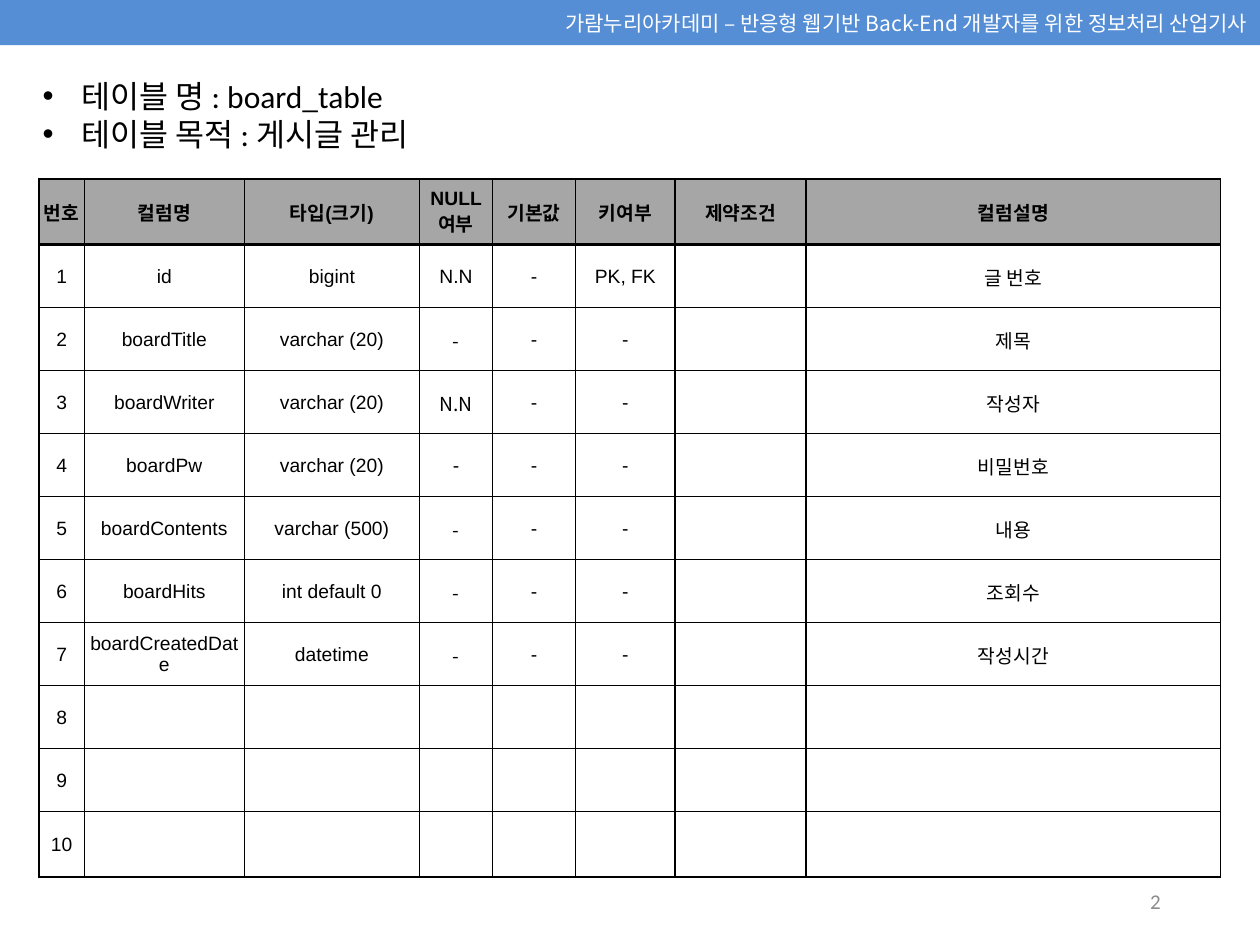
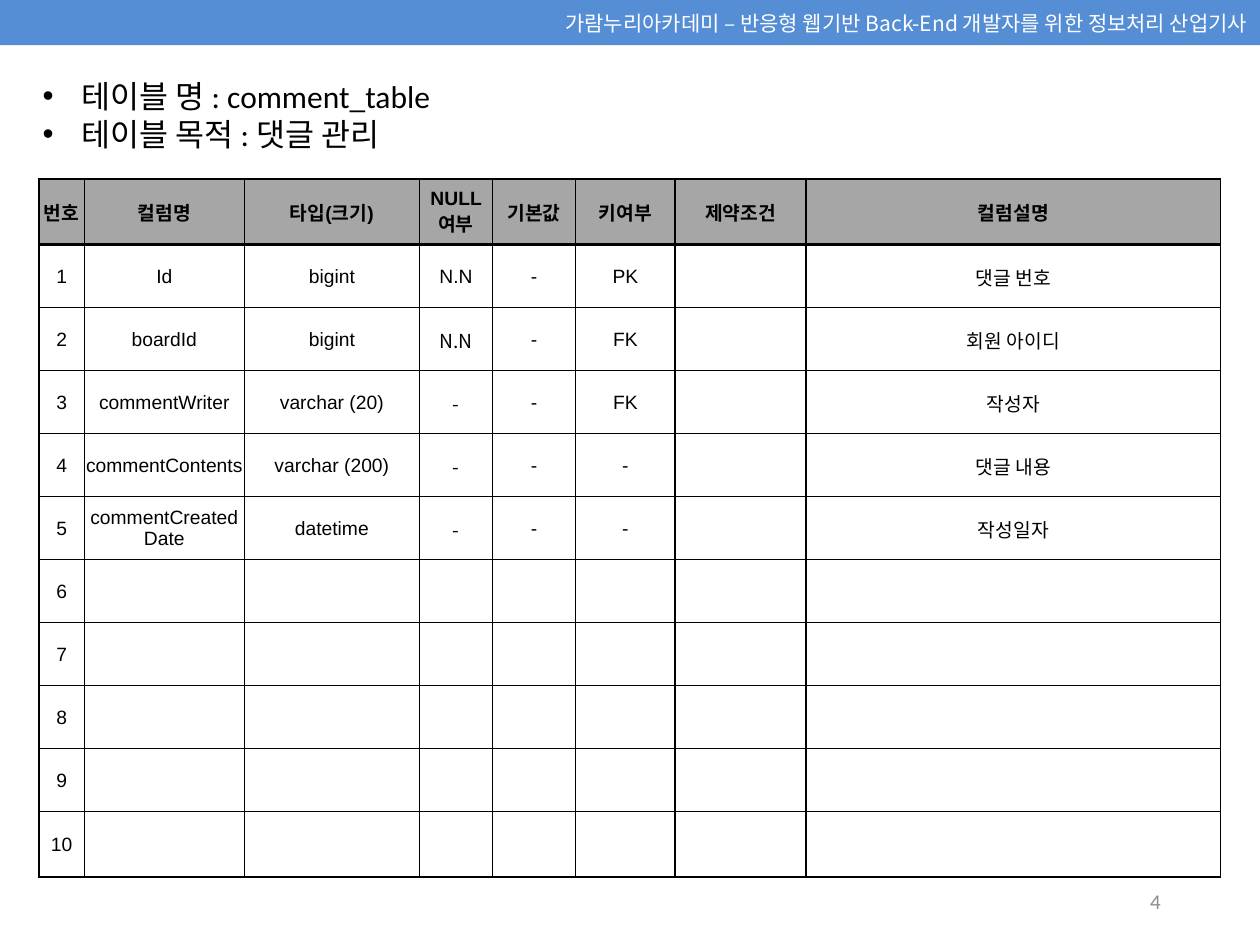
from dataclasses import dataclass

from lxml.etree import SubElement
from pptx import Presentation
from pptx.dml.color import RGBColor
from pptx.enum.shapes import MSO_SHAPE
from pptx.enum.text import MSO_ANCHOR, MSO_AUTO_SIZE, PP_ALIGN
from pptx.oxml.ns import qn
from pptx.util import Inches, Pt


@dataclass(frozen=True)
class Theme:
    band: str = "558ED5"
    band_text: str = "FFFFFF"
    header: str = "A6A6A6"
    ink: str = "000000"
    muted: str = "8C8C8C"
    latin: str = "Calibri"
    table_latin: str = "Arial"
    korean: str = "Noto Sans CJK KR"
    small: int = 12
    summary: int = 18
    cell: int = 11
    rule: int = 1
    header_rule: int = 2


COURSE = "가람누리아카데미 – 반응형 웹기반 Back-End 개발자를 위한 정보처리 산업기사"
HEADINGS = ["번호", "컬럼명", "타입(크기)", "NULL 여부",
            "기본값", "키여부", "제약조건", "컬럼설명"]
COLUMN_WIDTHS = [0.36, 1.27, 1.39, 0.58, 0.66, 0.79, 1.04, 3.29]
NULL_COLUMN = HEADINGS.index("NULL 여부")
FIELD_ROWS = 10
ROW_HEIGHTS = [0.52] + [0.5] * (FIELD_ROWS - 1) + [0.52]

# Each field: name, type, null, key, description
SPECS = [
    {"page": 2, "name": "board_table", "purpose": "게시글 관리",
     "arial_null_rows": {1, 4},
     "fields": [
         ("id", "bigint", "N.N", "PK, FK", "글 번호"),
         ("boardTitle", "varchar (20)", "-", "-", "제목"),
         ("boardWriter", "varchar (20)", "N.N", "-", "작성자"),
         ("boardPw", "varchar (20)", "-", "-", "비밀번호"),
         ("boardContents", "varchar (500)", "-", "-", "내용"),
         ("boardHits", "int default 0", "-", "-", "조회수"),
         ("boardCreatedDate", "datetime", "-", "-", "작성시간"),
     ]},
    {"page": 4, "name": "comment_table", "purpose": "댓글 관리",
     "arial_null_rows": {1},
     "fields": [
         ("Id", "bigint", "N.N", "PK", "댓글 번호"),
         ("boardId", "bigint", "N.N", "FK", "회원 아이디"),
         ("commentWriter", "varchar (20)", "-", "FK", "작성자"),
         ("commentContents", "varchar (200)", "-", "-", "댓글 내용"),
         ("commentCreatedDate", "datetime", "-", "-", "작성일자"),
     ]},
]


def apply_format(target, values):
    for name, value in values.items():
        setattr(target, name, value)


class SpecDeck:
    def __init__(self, theme):
        self.theme = theme
        self.deck = Presentation()
        apply_format(self.deck, {"slide_width": Inches(10), "slide_height": Inches(7.5)})
        self.slide = None

    def new_slide(self):
        self.slide = self.deck.slides.add_slide(self.deck.slide_layouts[6])

    def add_text(self, paragraph, text, size, color, latin, align=PP_ALIGN.LEFT, bold=False):
        paragraph.alignment = align
        run = paragraph.add_run()
        run.text = text
        apply_format(run.font, {"name": latin, "size": Pt(size), "bold": bold})
        run.font.color.rgb = RGBColor.from_string(color)
        SubElement(run._r.get_or_add_rPr(), qn("a:ea"), typeface=self.theme.korean)

    def text_box(self, left, top, width, height, **frame_format):
        box = self.slide.shapes.add_textbox(*map(Inches, (left, top, width, height)))
        apply_format(box.text_frame, {"word_wrap": True, **frame_format})
        return box.text_frame

    def band(self, text):
        t = self.theme
        band = self.slide.shapes.add_shape(
            MSO_SHAPE.RECTANGLE, 0, 0, self.deck.slide_width, Inches(0.36))
        band.shadow.inherit = False
        band.fill.solid()
        band.fill.fore_color.rgb = RGBColor.from_string(t.band)
        band.line.fill.background()
        apply_format(band.text_frame,
                     {"word_wrap": True, "vertical_anchor": MSO_ANCHOR.MIDDLE})
        self.add_text(band.text_frame.paragraphs[0], text, t.small, t.band_text,
                      t.korean, PP_ALIGN.RIGHT)

    def page_number(self, number):
        t = self.theme
        frame = self.text_box(7.06, 6.95, 2.25, 0.4, vertical_anchor=MSO_ANCHOR.MIDDLE)
        self.add_text(frame.paragraphs[0], str(number), t.small, t.muted,
                      t.latin, PP_ALIGN.RIGHT)

    def summary(self, lines):
        t = self.theme
        frame = self.text_box(0.24, 0.56, 9.49, 0.69,
                              auto_size=MSO_AUTO_SIZE.SHAPE_TO_FIT_TEXT)
        for index, line in enumerate(lines):
            paragraph = frame.add_paragraph() if index else frame.paragraphs[0]
            props = paragraph._p.get_or_add_pPr()
            props.set("marL", str(Inches(0.31)))
            props.set("indent", str(Inches(-0.31)))
            SubElement(props, qn("a:buFont"), typeface="Arial")
            SubElement(props, qn("a:buChar"), char="•")
            self.add_text(paragraph, line, t.summary, t.ink, t.latin)

    def borders(self, cell, row):
        t = self.theme
        widths = {"L": t.rule, "R": t.rule,
                  "T": t.header_rule if row == 1 else t.rule,
                  "B": t.header_rule if row == 0 else t.rule}
        props = cell._tc.get_or_add_tcPr()
        for side, width in widths.items():
            line = SubElement(props, qn(f"a:ln{side}"), w=str(Pt(width)))
            fill = SubElement(line, qn("a:solidFill"))
            SubElement(fill, qn("a:srgbClr"), val=t.ink)

    def field_table(self, rows, arial_null_rows):
        t = self.theme
        table = self.slide.shapes.add_table(
            len(rows), len(HEADINGS), Inches(0.31), Inches(1.42),
            Inches(sum(COLUMN_WIDTHS)), Inches(sum(ROW_HEIGHTS))).table
        apply_format(table, {"first_row": False, "horz_banding": False})
        for column, width in zip(table.columns, COLUMN_WIDTHS):
            column.width = Inches(width)
        for table_row, height in zip(table.rows, ROW_HEIGHTS):
            table_row.height = Inches(height)

        cell_format = {"vertical_anchor": MSO_ANCHOR.MIDDLE,
                       "margin_left": Inches(0.01), "margin_right": Inches(0.01),
                       "margin_top": Inches(0.01), "margin_bottom": 0}
        for r, values in enumerate(rows):
            for c, value in enumerate(values):
                cell = table.cell(r, c)
                apply_format(cell, cell_format)
                self.borders(cell, r)
                if r == 0:
                    cell.fill.solid()
                    cell.fill.fore_color.rgb = RGBColor.from_string(t.header)
                else:
                    cell.fill.background()
                if value:
                    korean_null = c == NULL_COLUMN and r > 0 and r not in arial_null_rows
                    self.add_text(cell.text_frame.paragraphs[0], value, t.cell, t.ink,
                                  t.korean if korean_null else t.table_latin,
                                  PP_ALIGN.CENTER, bold=r == 0)


def field_rows(fields):
    """Heading row, numbered fields, then numbered empty rows."""
    rows = [HEADINGS]
    for number in range(1, FIELD_ROWS + 1):
        if number <= len(fields):
            name, kind, null, key, description = fields[number - 1]
            rows.append([str(number), name, kind, null, "-", key, "", description])
        else:
            rows.append([str(number)] + [""] * (len(HEADINGS) - 1))
    return rows


def main():
    specs = SpecDeck(Theme())
    for table_spec in SPECS:
        specs.new_slide()
        # Band and page number
        specs.band(COURSE)
        specs.page_number(table_spec["page"])
        # Table name and purpose
        specs.summary([f"테이블 명 : {table_spec['name']}",
                       f"테이블 목적 : {table_spec['purpose']}"])
        # Field definitions
        specs.field_table(field_rows(table_spec["fields"]), table_spec["arial_null_rows"])
    specs.deck.save("out.pptx")


if __name__ == "__main__":
    main()
